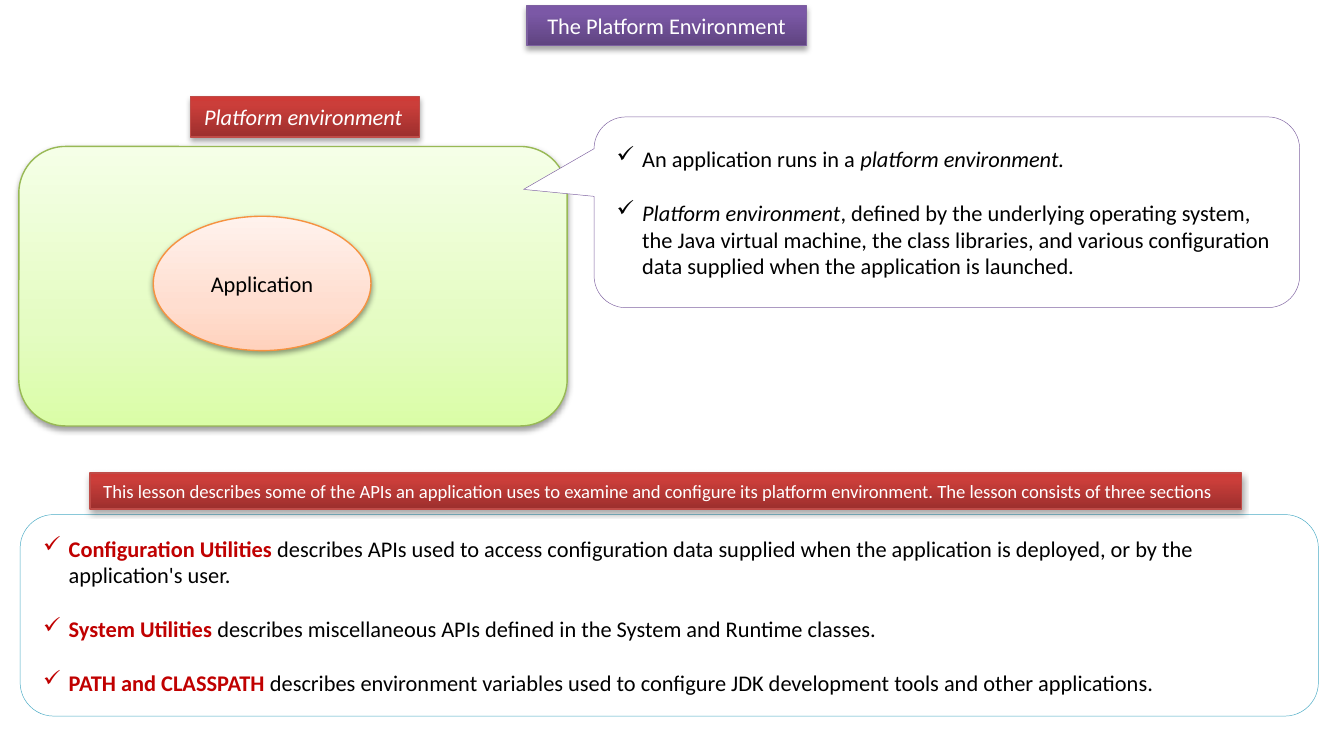
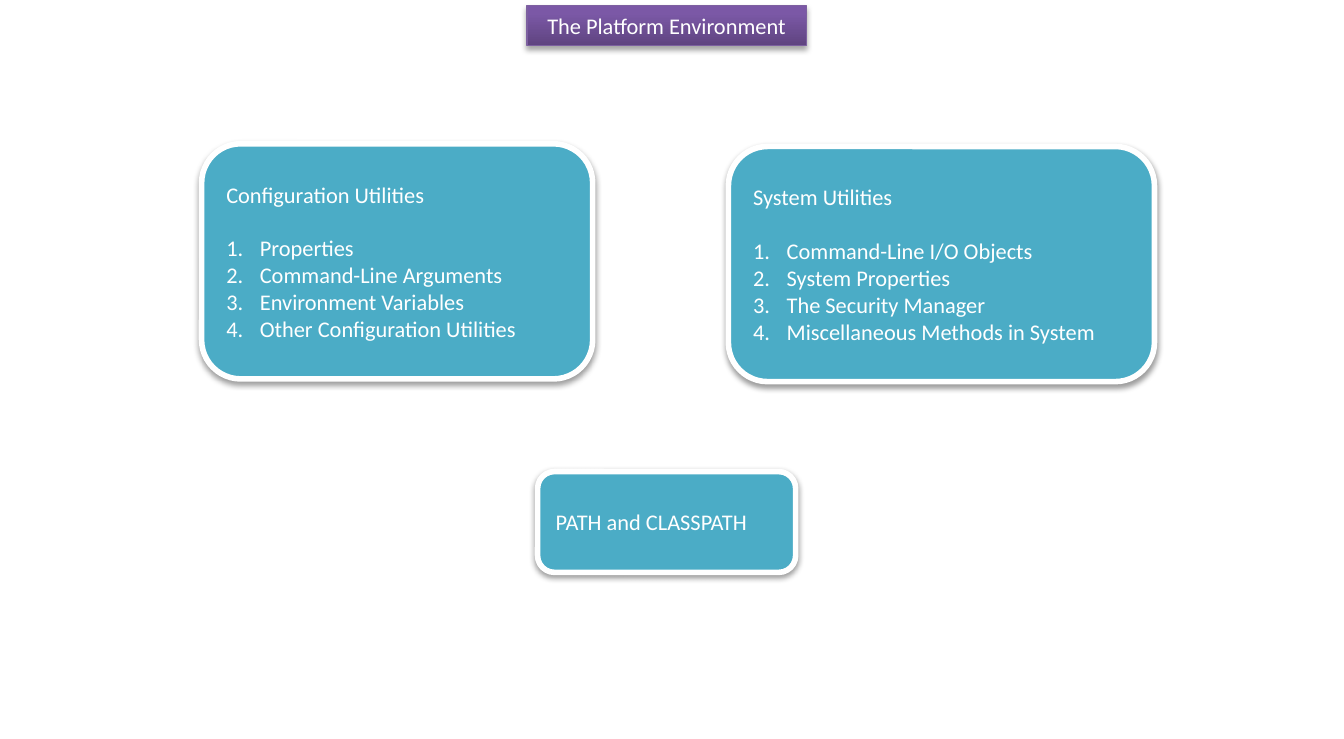
from dataclasses import dataclass
from typing import NamedTuple

from lxml.etree import SubElement
from pptx import Presentation
from pptx.dml.color import RGBColor
from pptx.enum.shapes import MSO_SHAPE as Preset
from pptx.enum.text import MSO_ANCHOR as Anchor, PP_ALIGN as Align
from pptx.oxml.ns import qn
from pptx.util import Inches, Pt

COLUMNS, ROWS = 100, 55
CELL = Inches(0.1)
FONT = "Calibri"
LINE_GAP = 14.4

COLORS = {
    "white": "FFFFFF", "black": "000000", "accent": "C00000",
    "teal": "4BACC6", "violet": "8064A2", "purple edge": "7D60A0",
    "red edge": "BF4C48", "green edge": "98B955", "orange edge": "F69240",
}
GRADIENTS = {
    "purple": ((0, "5F4480"), (80, "7B58A6"), (100, "7C57A8")),
    "red": ((0, "9C2F2D"), (80, "CB3E3A"), (100, "CE3B37")),
    "green": ((0, "DAFDA7"), (35, "E4FCC2"), (100, "F5FFE7")),
    "orange": ((0, "FFD2BD"), (35, "FFDED0"), (100, "FFF2ED")),
}


class Area(NamedTuple):
    """Place on the grid, in columns and rows."""
    column: float
    row: float
    columns: float
    rows: float


class Shadow(NamedTuple):
    opacity: int
    distance: float


class Run(NamedTuple):
    text: str
    color: str = ""
    bold: bool = False
    italic: bool = False


class Line(NamedTuple):
    runs: tuple
    bullet: str = ""
    indent: float = 0
    before: float = 0


@dataclass(frozen=True)
class Style:
    preset: Preset
    fill: str
    edge: str
    edge_width: float = 0.75
    shadow: Shadow | None = None


BANNER_SHADOW, BODY_SHADOW = Shadow(35, 1.8), Shadow(38, 1.6)
TITLE = Style(Preset.RECTANGLE, "purple", "purple edge", shadow=BANNER_SHADOW)
LABEL = Style(Preset.RECTANGLE, "red", "red edge", shadow=BANNER_SHADOW)
ENVIRONMENT = Style(Preset.ROUNDED_RECTANGLE, "green", "green edge", shadow=BODY_SHADOW)
APPLICATION = Style(Preset.OVAL, "orange", "orange edge", shadow=BODY_SHADOW)
CALLOUT = Style(Preset.ROUNDED_RECTANGULAR_CALLOUT, "white", "violet", 0.25)
SECTIONS = Style(Preset.FLOWCHART_ALTERNATE_PROCESS, "white", "teal", 0.25)
CARD = Style(Preset.ROUNDED_RECTANGLE, "teal", "white", 3, BODY_SHADOW)


def rgb(name: str) -> RGBColor:
    return RGBColor.from_string(COLORS[name])


def fill_gradient(shape, stops) -> None:
    """Fill from bottom to top through any number of stops."""
    shape.fill.gradient()
    shape.fill.gradient_angle = 90
    stop_list = shape._element.spPr.find(".//" + qn("a:gsLst"))
    for stop in list(stop_list):
        stop_list.remove(stop)
    for position, color in stops:
        stop = SubElement(stop_list, qn("a:gs"), pos=str(position * 1000))
        SubElement(stop, qn("a:srgbClr"), val=color)


def cast_shadow(shape, shadow: Shadow) -> None:
    effects = shape._element.spPr.find(qn("a:effectLst"))
    outer = SubElement(effects, qn("a:outerShdw"), blurRad=str(Pt(3.1)),
                       dist=str(Pt(shadow.distance)), dir="5400000", rotWithShape="0")
    color = SubElement(outer, qn("a:srgbClr"), val=COLORS["black"])
    SubElement(color, qn("a:alpha"), val=str(shadow.opacity * 1000))


def add_box(slide, area: Area, style: Style):
    shape = slide.shapes.add_shape(style.preset, *(round(CELL * cells) for cells in area))
    if style.fill in GRADIENTS:
        fill_gradient(shape, GRADIENTS[style.fill])
    else:
        shape.fill.solid()
        shape.fill.fore_color.rgb = rgb(style.fill)
    shape.line.color.rgb = rgb(style.edge)
    shape.line.width = Pt(style.edge_width)
    shape.shadow.inherit = False
    if style.shadow:
        cast_shadow(shape, style.shadow)
    return shape


def set_bullet(paragraph, bullet: str, indent: float) -> None:
    """Hang a bullet character, or a running number when bullet is "1."."""
    properties = paragraph._p.get_or_add_pPr()
    properties.set("marL", str(Inches(indent)))
    properties.set("indent", str(-Inches(indent)))
    if bullet == "1.":
        SubElement(properties, qn("a:buAutoNum"), type="arabicPeriod")
    else:
        SubElement(properties, qn("a:buChar"), char=bullet)


def write(shape, *lines: Line, size: float = 12, color: str = "white",
          align: Align = Align.LEFT, anchor: Anchor = Anchor.MIDDLE) -> None:
    frame = shape.text_frame
    frame.word_wrap = True
    frame.vertical_anchor = anchor
    for index, line in enumerate(lines):
        paragraph = frame.add_paragraph() if index else frame.paragraphs[0]
        paragraph.alignment = align
        if line.bullet:
            set_bullet(paragraph, line.bullet, line.indent)
        if line.before:
            paragraph.space_before = Pt(line.before)
        for part in line.runs:
            run = paragraph.add_run()
            run.text = part.text
            font = run.font
            font.name, font.size = FONT, Pt(size)
            font.bold, font.italic = part.bold, part.italic
            font.color.rgb = rgb(part.color or color)


def plain(text: str, italic: bool = False) -> Line:
    return Line((Run(text, italic=italic),))


def checklist(*items: tuple) -> list[Line]:
    return [Line(runs, "✓", 0.19, LINE_GAP if index else 0)
            for index, runs in enumerate(items)]


def numbered(heading: str, *items: str) -> list[Line]:
    return [plain(heading)] + [
        Line((Run(item),), "1.", 0.25, 0 if index else LINE_GAP)
        for index, item in enumerate(items)]


def add_titled_slide(presentation):
    slide = presentation.slides.add_slide(presentation.slide_layouts[6])
    title = add_box(slide, Area(39.2, 0.4, 20.8, 3), TITLE)
    write(title, plain("The Platform Environment"), align=Align.CENTER, anchor=Anchor.TOP)
    return slide


def add_overview(presentation) -> None:
    slide = add_titled_slide(presentation)
    add_box(slide, Area(1.4, 10.9, 40.8, 20.8), ENVIRONMENT)
    application = add_box(slide, Area(11.4, 16.1, 16.2, 10), APPLICATION)
    write(application, plain("Application"), color="black", align=Align.CENTER)
    label = add_box(slide, Area(14.2, 7.2, 17, 3), LABEL)
    write(label, plain("Platform environment", italic=True), anchor=Anchor.TOP)

    callout = add_box(slide, Area(44.2, 8.7, 52.5, 14.2), CALLOUT)
    callout.adjustments[0], callout.adjustments[1] = -0.6, -0.12
    write(callout, *checklist(
        (Run("An application runs in a "), Run("platform environment.", italic=True)),
        (Run("Platform environment", italic=True),
         Run(", defined by the underlying operating system, the Java virtual machine, "
             "the class libraries, and various configuration data supplied when the "
             "application is launched.")),
    ), color="black")

    sections = (
        ("Configuration Utilities", " describes APIs used to access configuration data "
         "supplied when the application is deployed, or by the application's user."),
        ("System Utilities",
         " describes miscellaneous APIs defined in the System and Runtime classes."),
        ("PATH and CLASSPATH", " describes environment variables used to configure JDK "
         "development tools and other applications."),
    )
    panel = add_box(slide, Area(1.5, 38.3, 96.6, 15), SECTIONS)
    write(panel, *checklist(*(
        (Run(name, "accent", bold=True), Run(description))
        for name, description in sections)), color="black")
    banner = add_box(slide, Area(6.7, 35.2, 85.7, 2.7), LABEL)
    write(banner, plain(
        "This lesson describes some of the APIs an application uses to examine and "
        "configure its platform environment. The lesson consists of three sections"),
        size=10, anchor=Anchor.TOP)


def add_sections(presentation) -> None:
    slide = add_titled_slide(presentation)
    cards = (
        (Area(15, 10.7, 29.1, 17.5), numbered(
            "Configuration Utilities", "Properties", "Command-Line Arguments",
            "Environment Variables", "Other Configuration Utilities")),
        (Area(54.2, 10.9, 31.7, 17.5), numbered(
            "System Utilities", "Command-Line I/O Objects", "System Properties",
            "The Security Manager", "Miscellaneous Methods in System")),
        (Area(40, 35.1, 19.2, 7.5), numbered("PATH and CLASSPATH")),
    )
    for area, lines in cards:
        write(add_box(slide, area, CARD), *lines)


def main() -> None:
    presentation = Presentation()
    presentation.slide_width = COLUMNS * CELL
    presentation.slide_height = ROWS * CELL
    add_overview(presentation)
    add_sections(presentation)
    presentation.save("out.pptx")


if __name__ == "__main__":
    main()
